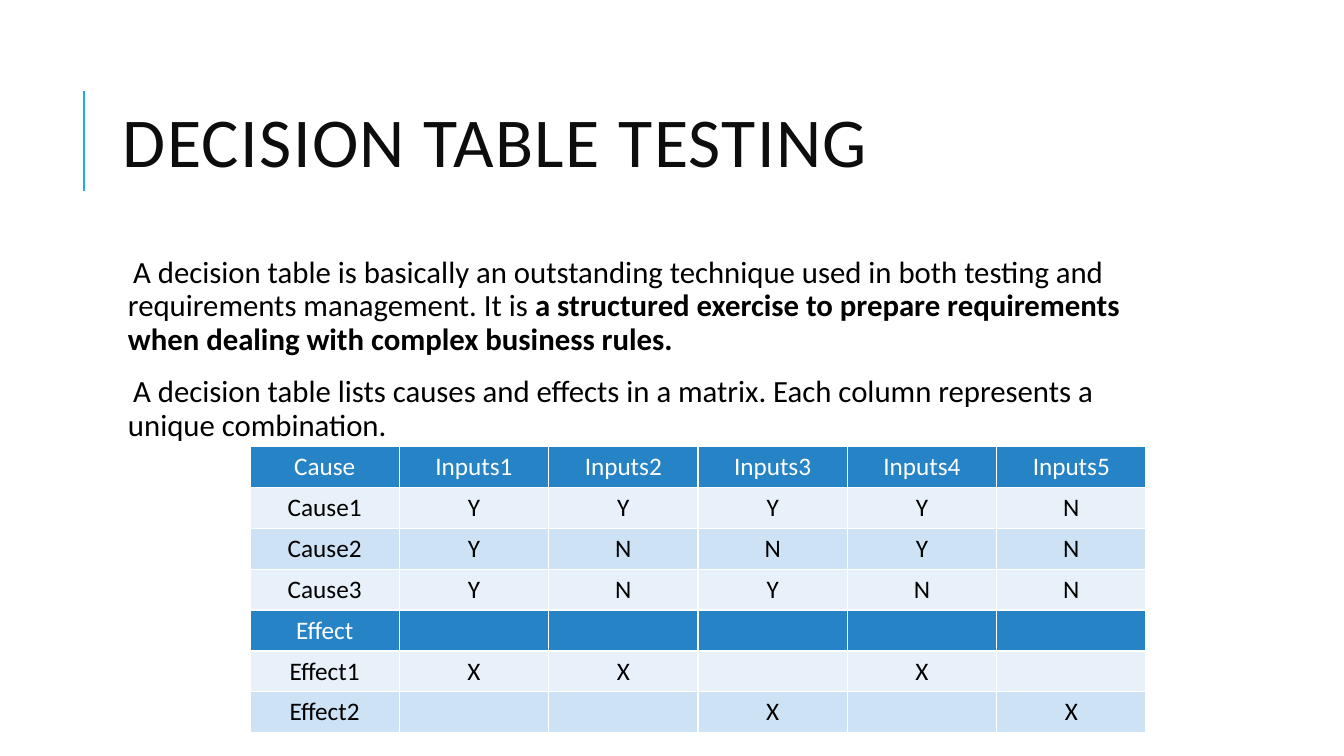
from lxml.etree import SubElement
from pptx import Presentation
from pptx.dml.color import RGBColor
from pptx.enum.shapes import MSO_CONNECTOR
from pptx.enum.text import MSO_ANCHOR, PP_ALIGN
from pptx.oxml import parse_xml
from pptx.oxml.ns import nsdecls, qn
from pptx.util import Inches, Pt


def color(code):
    return RGBColor.from_string(code)


class Deck:
    face = "Calibri"
    accent, head = "1CADE4", "2683C6"
    bands = "E8F1FA", "CDE3F5"
    white, black, ink = "FFFFFF", "000000", "0D0D0D"

    def __init__(self):
        self.file = Presentation()
        self.file.slide_width = Inches(13.33)
        self.file.slide_height = Inches(7.5)
        self.slide = self.file.slides.add_slide(self.file.slide_layouts[6])

    def x(self, share):
        return round(self.file.slide_width * share / 100)

    def y(self, share):
        return round(self.file.slide_height * share / 100)

    def area(self, left, top, width, height):
        return self.x(left), self.y(top), self.x(width), self.y(height)

    def font(self, para, size, code):
        para.font.name = self.face
        para.font.size = Pt(size)
        para.font.color.rgb = color(code)

    def rule(self, left, top, end):
        line = self.slide.shapes.add_connector(
            MSO_CONNECTOR.STRAIGHT, self.x(left), self.y(end), self.x(left), self.y(top))
        line.line.color.rgb = color(self.accent)
        line.line.width = Pt(1.5)
        SubElement(line._element.spPr, qn("a:effectLst"))

    def frame(self, place):
        frame = self.slide.shapes.add_textbox(*self.area(*place)).text_frame
        frame.word_wrap = True
        return frame

    def title(self, text, place):
        frame = self.frame(place)
        frame.vertical_anchor = MSO_ANCHOR.MIDDLE
        para = frame.paragraphs[0]
        run = para.add_run()
        run.text = text
        run.font._element.set("spc", "100")
        para.line_spacing = 0.8
        self.font(para, 50, self.ink)

    def body(self, paras, place):
        frame = self.frame(place)
        frame.margin_left = frame.margin_right = Inches(0.05)
        for i, runs in enumerate(paras):
            para = frame.add_paragraph() if i else frame.paragraphs[0]
            para.line_spacing = 0.9
            para.space_before, para.space_after = Pt(12), Pt(2)
            props = para._p.get_or_add_pPr()
            props.set("marL", str(Inches(0.1)))
            props.set("indent", str(-Inches(0.1)))
            tint = SubElement(props, qn("a:buClr"))
            SubElement(tint, qn("a:srgbClr"), val=self.accent)
            SubElement(props, qn("a:buChar"), char=" ")
            self.font(para, 22, self.black)
            for text, bold in runs:
                run = para.add_run()
                run.text = text
                run.font.bold = bold

    def border(self, cell):
        props = cell._tc.get_or_add_tcPr()
        for i, side in enumerate("LRTB"):
            props.insert(i, parse_xml(
                f'<a:ln{side} {nsdecls("a")} w="{Pt(1)}"><a:solidFill>'
                f'<a:srgbClr val="{self.white}"/></a:solidFill></a:ln{side}>'))

    def table(self, rows, heads, place):
        grid = self.slide.shapes.add_table(
            len(rows), len(rows[0]), *self.area(*place)).table
        band = 0
        for r, row in enumerate(rows):
            top = r in heads
            band = 0 if top else band + 1
            fill = self.head if top else self.bands[(band - 1) % 2]
            for c, text in enumerate(row):
                cell = grid.cell(r, c)
                cell.text = text
                cell.fill.solid()
                cell.fill.fore_color.rgb = color(fill)
                para = cell.text_frame.paragraphs[0]
                para.alignment = PP_ALIGN.CENTER
                self.font(para, 18, self.white if top else self.black)
                self.border(cell)


def main():
    deck = Deck()
    deck.rule(6.23, 12, 25.33)
    deck.title("DECISION TABLE TESTING", (8.4, 8.53, 79.75, 21.87))
    deck.body([
        [("A decision table is basically an outstanding technique used in both "
          "testing and requirements management. It is ", False),
         ("a structured exercise to prepare requirements when dealing with "
          "complex business rules. ", True)],
        [("A decision table lists causes and effects in a matrix. Each column "
          "represents a unique combination.", False)],
    ], (8.4, 33.33, 79.75, 58.67))
    deck.table([
        ["Cause", "Inputs1", "Inputs2", "Inputs3", "Inputs4", "Inputs5"],
        ["Cause1", "Y", "Y", "Y", "Y", "N"],
        ["Cause2", "Y", "N", "N", "Y", "N"],
        ["Cause3", "Y", "N", "Y", "N", "N"],
        ["Effect", "", "", "", "", ""],
        ["Effect1", "X", "X", "", "X", ""],
        ["Effect2", "", "", "X", "", "X"],
    ], (0, 4), (18.6, 59.07, 66.67, 37.87))
    deck.file.save("out.pptx")


if __name__ == "__main__":
    main()
